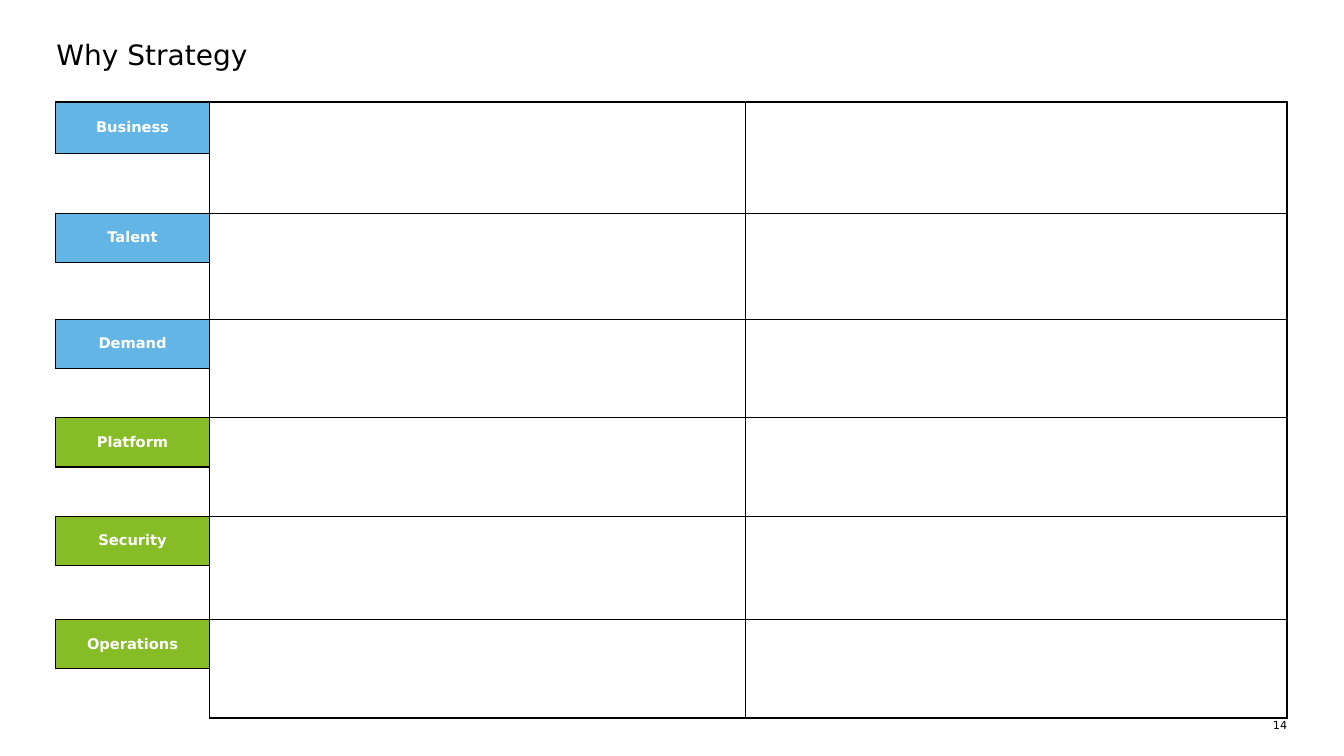
import pptx
import pptx.util
import pptx.dml.color
import pptx.enum.text
import pptx.oxml
import pptx.oxml.ns

Pt = pptx.util.Pt
ALIGN = pptx.enum.text.PP_ALIGN
MIDDLE = pptx.enum.text.MSO_ANCHOR.MIDDLE
FONT = "DejaVu Sans"
BLACK, WHITE, BLUE, GREEN = "000000", "FFFFFF", "62B5E5", "86BC25"
NO_GRID_STYLE = "{2D5ABB26-0587-4C30-8999-92F81FD0307C}"

TITLE = "Why Strategy"
PAGE = "14"
TOPICS = [
    ("Business", BLUE, 36.6, 43),
    ("Talent", BLUE, 35.2, 40.5),
    ("Demand", BLUE, 35.2, 35.2),
    ("Platform", GREEN, 35.2, 35.2),
    ("Security", GREEN, 35.2, 38.6),
    ("Operations", GREEN, 35.2, 35.2),
]
HEAD_HEIGHT = 36.8
COLS = [110.2, 383, 386.6]
LEFT, TOP = 39.6, 36


def color(value):
    return pptx.dml.color.RGBColor.from_string(value)


def write(tf, text, size=10.5, fill=BLACK, bold=False, align=ALIGN.LEFT):
    p = tf.paragraphs[0]
    p.alignment = align
    r = p.add_run()
    r.text = text
    r.font.name = FONT
    r.font.size = Pt(size)
    r.font.bold = bold
    r.font.color.rgb = color(fill)


def frame(tf):
    tf.margin_left = tf.margin_right = tf.margin_top = tf.margin_bottom = 0
    tf.vertical_anchor = MIDDLE
    tf.word_wrap = True
    tf.auto_size = pptx.enum.text.MSO_AUTO_SIZE.NONE


def border(cell, sides):
    tcPr = cell._tc.get_or_add_tcPr()
    lines = [
        pptx.oxml.parse_xml(
            f'<a:ln{side} {pptx.oxml.ns.nsdecls("a")} w="{Pt(1)}"><a:solidFill>'
            f'<a:srgbClr val="{BLACK}"/></a:solidFill></a:ln{side}>'
        )
        for side in "LRTB" if side in sides
    ]
    for i, line in enumerate(lines):
        tcPr.insert(i, line)


def build_table(s):
    heights = [HEAD_HEIGHT] + [h for topic in TOPICS for h in topic[2:]]
    gf = s.shapes.add_table(len(heights), len(COLS), Pt(LEFT), Pt(TOP),
                            Pt(sum(COLS)), Pt(sum(heights)))
    table = gf.table
    table.first_row = table.horz_banding = False
    for style in gf._element.iter(pptx.oxml.ns.qn("a:tableStyleId")):
        style.text = NO_GRID_STYLE
    for col, width in zip(table.columns, COLS):
        col.width = Pt(width)
    for row, height in zip(table.rows, heights):
        row.height = Pt(height)

    for c in range(len(COLS)):
        border(table.cell(0, c), "B")
    for i, (name, fill, _, _) in enumerate(TOPICS):
        top = 1 + 2 * i
        label = table.cell(top, 0)
        label.fill.solid()
        label.fill.fore_color.rgb = color(fill)
        label.vertical_anchor = MIDDLE
        write(label.text_frame, name, fill=WHITE, bold=True, align=ALIGN.CENTER)
        border(label, "LRTB")
        border(table.cell(top + 1, 0), "RT")
        for c, side in ((1, "L"), (2, "R")):
            table.cell(top, c).merge(table.cell(top + 1, c))
            border(table.cell(top, c), side + "TB")
            border(table.cell(top + 1, c), side + "B")


def main():
    prs = pptx.Presentation()
    prs.slide_width, prs.slide_height = Pt(960), Pt(540)
    s = prs.slides.add_slide(prs.slide_layouts[5])

    title = s.shapes.title
    title.left, title.top, title.width, title.height = Pt(40.3), Pt(26.6), Pt(880), Pt(24.5)
    frame(title.text_frame)
    write(title.text_frame, TITLE, size=20)

    build_table(s)

    number = s.shapes.add_textbox(Pt(902.9), Pt(513.4), Pt(16.6), Pt(9.4))
    frame(number.text_frame)
    write(number.text_frame, PAGE, size=8, align=ALIGN.RIGHT)

    prs.save("out.pptx")


if __name__ == "__main__":
    main()
